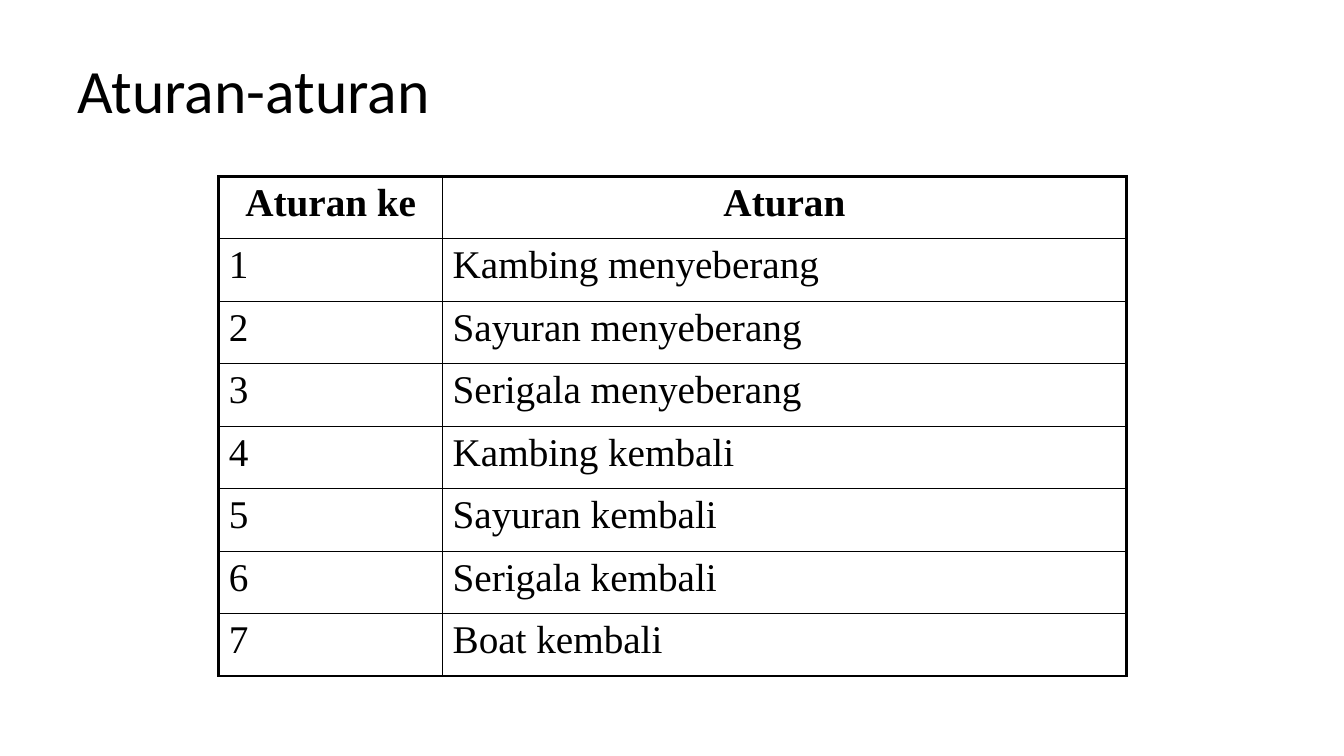
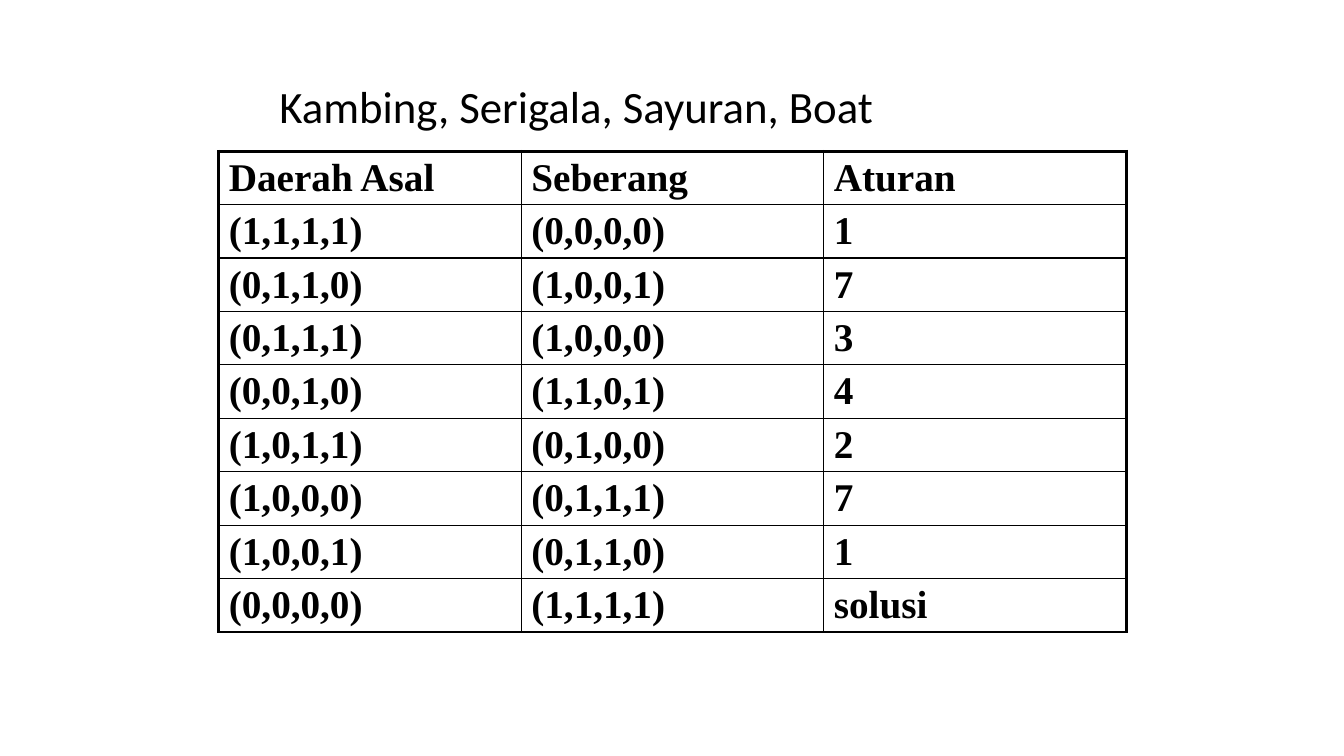
from lxml.etree import SubElement
from pptx import Presentation
from pptx.dml.color import RGBColor
from pptx.enum.text import MSO_ANCHOR, MSO_AUTO_SIZE, PP_ALIGN
from pptx.oxml.ns import qn
from pptx.util import Inches, Pt

# Shared look
INK, PAPER = "000000", "FFFFFF"
TITLE_FONT, TABLE_FONT = "Calibri", "Times New Roman"
TABLE_SIZE = 28
OUTER_LINE, INNER_LINE = 2.25, 1
TABLE_LEFT = 2.17
TITLE_ONLY = 5

RULES = [
    ("Aturan ke", "Aturan"),
    ("1", "Kambing menyeberang"),
    ("2", "Sayuran menyeberang"),
    ("3", "Serigala menyeberang"),
    ("4", "Kambing kembali"),
    ("5", "Sayuran kembali"),
    ("6", "Serigala kembali"),
    ("7", "Boat kembali"),
]
STEPS = [
    ("Daerah Asal", "Seberang", "Aturan"),
    ("(1,1,1,1)", "(0,0,0,0)", "1"),
    ("(0,1,1,0)", "(1,0,0,1)", "7"),
    ("(0,1,1,1)", "(1,0,0,0)", "3"),
    ("(0,0,1,0)", "(1,1,0,1)", "4"),
    ("(1,0,1,1)", "(0,1,0,0)", "2"),
    ("(1,0,0,0)", "(0,1,1,1)", "7"),
    ("(1,0,0,1)", "(0,1,1,0)", "1"),
    ("(0,0,0,0)", "(1,1,1,1)", "solusi"),
]


def color(hex_code):
    return RGBColor.from_string(hex_code)


def style_text(paragraph, font_name, size, bold=False):
    for run in paragraph.runs:
        run.font.name = font_name
        run.font.size = Pt(size)
        run.font.bold = bold
        run.font.color.rgb = color(INK)


def place_title(slide, text, box, size):
    title = slide.shapes.title
    title.left, title.top, title.width, title.height = map(Inches, box)
    frame = title.text_frame
    frame.text = text
    frame.word_wrap = True
    frame.auto_size = MSO_AUTO_SIZE.NONE
    frame.vertical_anchor = MSO_ANCHOR.MIDDLE
    heading = frame.paragraphs[0]
    heading.alignment = PP_ALIGN.LEFT
    heading.line_spacing = 0.9
    style_text(heading, TITLE_FONT, size)


def draw_borders(cell, outer_sides):
    """Heavy lines on the table's edge, thin lines inside."""
    properties = cell._tc.get_or_add_tcPr()
    for side in "LRTB":
        width = OUTER_LINE if side in outer_sides else INNER_LINE
        line = SubElement(properties, qn(f"a:ln{side}"), w=str(Pt(width)))
        fill = SubElement(line, qn("a:solidFill"))
        SubElement(fill, qn("a:srgbClr"), val=INK)


def place_table(slide, rows, top, col_widths, row_height,
                centre_header=False, bold_body=False):
    last_row, last_col = len(rows) - 1, len(col_widths) - 1
    table = slide.shapes.add_table(
        len(rows), len(col_widths), Inches(TABLE_LEFT), Inches(top),
        Inches(sum(col_widths)), Inches(row_height * len(rows))).table
    table.first_row = table.horz_banding = False
    for column, width in zip(table.columns, col_widths):
        column.width = Inches(width)

    for r, values in enumerate(rows):
        table.rows[r].height = Inches(row_height)
        for c, value in enumerate(values):
            cell = table.cell(r, c)
            cell.margin_bottom = Inches(0.03)
            edges = {"L": c == 0, "R": c == last_col,
                     "T": r == 0, "B": r == last_row}
            draw_borders(cell, [side for side in edges if edges[side]])
            cell.fill.solid()
            cell.fill.fore_color.rgb = color(PAPER)
            cell.text_frame.text = value
            entry = cell.text_frame.paragraphs[0]
            is_header = r == 0
            if is_header and centre_header:
                entry.alignment = PP_ALIGN.CENTER
            style_text(entry, TABLE_FONT, TABLE_SIZE, is_header or bold_body)


def add_rules_slide(deck):
    slide = deck.slides.add_slide(deck.slide_layouts[TITLE_ONLY])
    place_title(slide, "Aturan-aturan", (0.67, 0.3, 12, 1.25), 44)
    place_table(slide, RULES, 1.75, [2.22, 6.78], 0.62, centre_header=True)


def add_steps_slide(deck):
    slide = deck.slides.add_slide(deck.slide_layouts[TITLE_ONLY])
    place_title(slide, "Kambing, Serigala, Sayuran, Boat",
                (2.67, 0.58, 8.5, 1.01), 32)
    place_table(slide, STEPS, 1.5, [3, 3, 3], 0.53, bold_body=True)


def main():
    deck = Presentation()
    deck.slide_width, deck.slide_height = Inches(13.33), Inches(7.5)
    add_rules_slide(deck)
    add_steps_slide(deck)
    deck.save("out.pptx")


if __name__ == "__main__":
    main()
